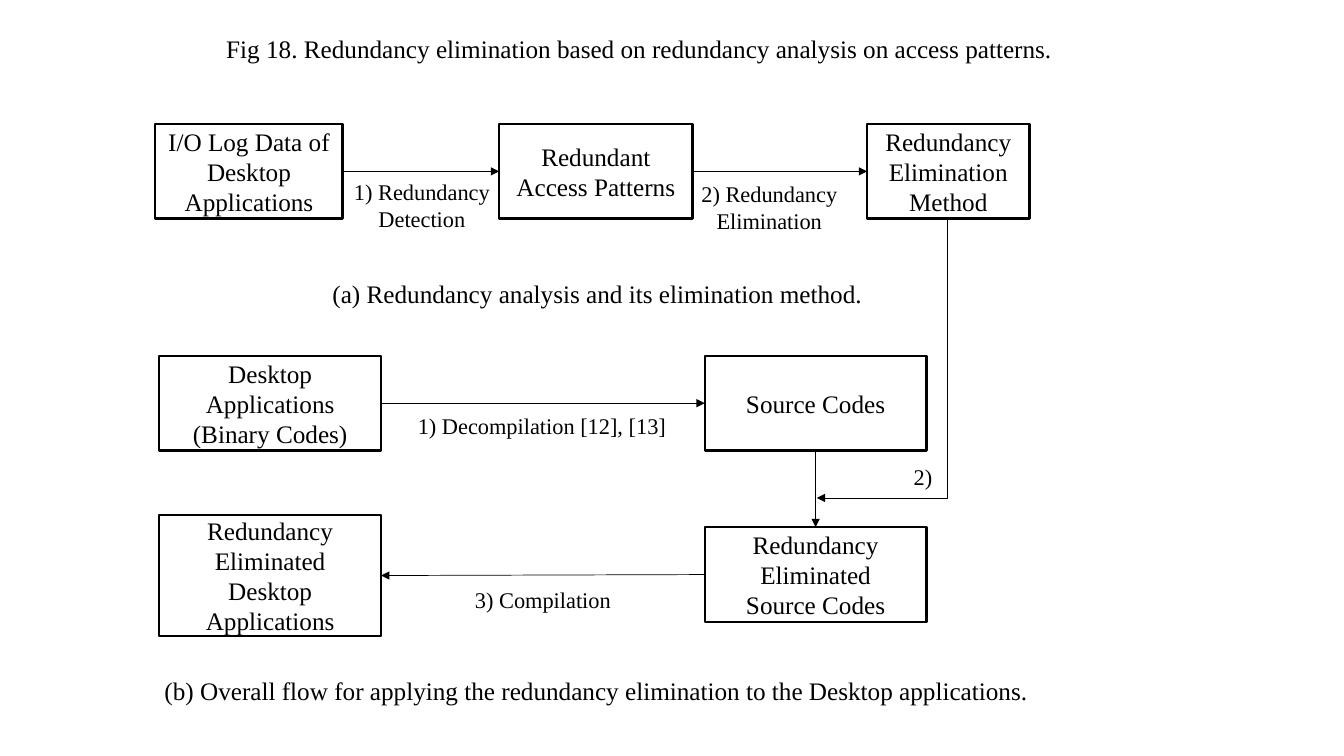
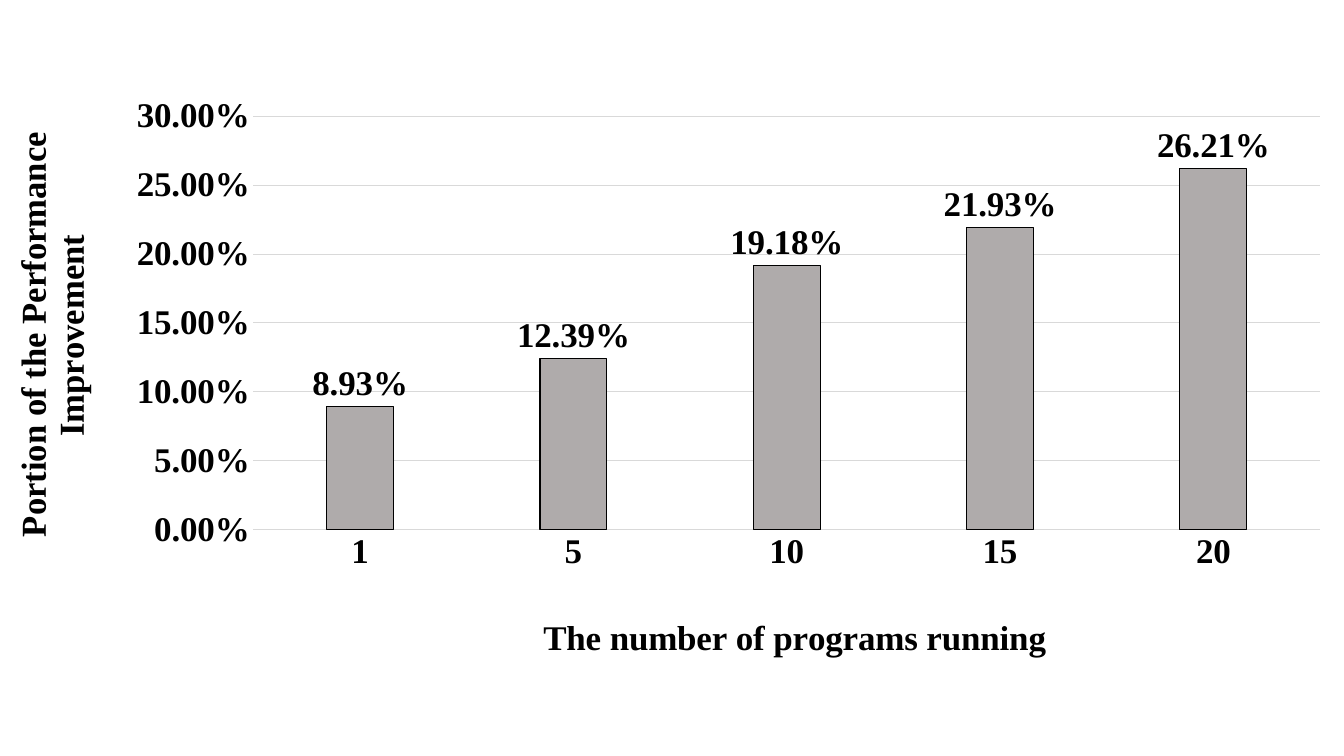
from dataclasses import dataclass

from lxml.etree import SubElement
from pptx import Presentation
from pptx.chart.data import CategoryChartData
from pptx.dml.color import RGBColor
from pptx.enum.chart import XL_CHART_TYPE, XL_LABEL_POSITION, XL_TICK_MARK
from pptx.enum.shapes import MSO_CONNECTOR, MSO_SHAPE
from pptx.enum.text import MSO_ANCHOR, MSO_AUTO_SIZE, PP_ALIGN
from pptx.oxml import parse_xml
from pptx.oxml.ns import nsdecls, qn
from pptx.util import Inches, Pt

TOP, LEFT, BOTTOM, RIGHT = range(4)
TITLE_ONLY, BLANK = 5, 6


@dataclass(frozen=True)
class Theme:
    font: str = "Times New Roman"
    ink: RGBColor = RGBColor(0, 0, 0)
    bar: RGBColor = RGBColor(0xAF, 0xAB, 0xAB)
    grid: RGBColor = RGBColor(0xD9, 0xD9, 0xD9)
    body: Pt = Pt(18)
    label: Pt = Pt(16)
    chart: Pt = Pt(25)
    box_line: Pt = Pt(1.75)
    arrow_line: Pt = Pt(0.5)
    chart_line: Pt = Pt(0.75)


def apply(target, values):
    for name, value in values.items():
        setattr(target, name, value)


def place(parent, index, **fractions):
    """Give a chart part a manual layout, in fractions of the chart."""
    for existing in parent.findall(qn("c:layout")):
        parent.remove(existing)
    layout = parse_xml(f"<c:layout {nsdecls('c')}><c:manualLayout/></c:layout>")
    for name, value in fractions.items():
        SubElement(layout[0], qn(f"c:{name}")).set("val", str(value))
    parent.insert(index, layout)


class Deck:
    def __init__(self, theme):
        self.theme = theme
        self.presentation = Presentation()
        apply(self.presentation, {"slide_width": Inches(13.33), "slide_height": Inches(7.5)})
        self.slide = None

    def add_slide(self, layout):
        self.slide = self.presentation.slides.add_slide(self.presentation.slide_layouts[layout])

    def style_font(self, font, size, bold=False):
        apply(font, {"name": self.theme.font, "size": size, "bold": bold})
        font.color.rgb = self.theme.ink

    def style_line(self, line, width, color=None):
        line.width = width
        line.color.rgb = color or self.theme.ink

    def set_text(self, shape, text, size, frame_format, paragraph_format=None):
        frame = shape.text_frame
        frame.text = text
        apply(frame, frame_format)
        for paragraph in frame.paragraphs:
            apply(paragraph, {"alignment": PP_ALIGN.CENTER, **(paragraph_format or {})})
            for run in paragraph.runs:
                self.style_font(run.font, size)

    def set_caption(self, shape, text):
        self.set_text(shape, text, self.theme.body,
                      {"word_wrap": False, "vertical_anchor": MSO_ANCHOR.TOP,
                       "auto_size": MSO_AUTO_SIZE.NONE},
                      {"line_spacing": 1.5, "space_before": Pt(0), "space_after": Pt(12)})

    def title(self, text, left, top, width, height):
        shape = self.slide.shapes.title
        apply(shape, {"left": Inches(left), "top": Inches(top),
                      "width": Inches(width), "height": Inches(height)})
        self.set_caption(shape, text)

    def text_box(self, left, top, width, height):
        return self.slide.shapes.add_textbox(
            Inches(left), Inches(top), Inches(width), Inches(height))

    def caption(self, text, left, top, width):
        self.set_caption(self.text_box(left, top, width, 0.56), text)

    def label(self, text, left, top, width, height=0.37):
        self.set_text(self.text_box(left, top, width, height), text, self.theme.label,
                      {"word_wrap": False})

    def box(self, text, left, top, width, height=0.94):
        shape = self.slide.shapes.add_shape(
            MSO_SHAPE.RECTANGLE, Inches(left), Inches(top), Inches(width), Inches(height))
        shape.shadow.inherit = False
        shape.fill.background()
        self.style_line(shape.line, self.theme.box_line)
        self.set_text(shape, text, self.theme.body,
                      {"word_wrap": True, "vertical_anchor": MSO_ANCHOR.MIDDLE})
        return shape

    def connector(self, kind, left, top, right, bottom):
        connector = self.slide.shapes.add_connector(kind, left, top, right, bottom)
        self.style_line(connector.line, self.theme.arrow_line)
        properties = connector.element.spPr
        SubElement(properties.find(qn("a:ln")), qn("a:tailEnd")).set("type", "triangle")
        SubElement(properties, qn("a:effectLst"))
        return connector

    def arrow(self, source, source_side, target, target_side):
        connector = self.connector(MSO_CONNECTOR.STRAIGHT, 0, 0, 0, 0)
        connector.begin_connect(source, source_side)
        connector.end_connect(target, target_side)

    def down_left_arrow(self, start_x, start_y, end_x, end_y):
        """Draw a one-bend arrow: a right-then-down elbow turned a quarter."""
        center_x, center_y = (start_x + end_x) / 2, (start_y + end_y) / 2
        half_drop, half_run = (end_y - start_y) / 2, (start_x - end_x) / 2
        connector = self.connector(
            MSO_CONNECTOR.ELBOW,
            Inches(center_x - half_drop), Inches(center_y - half_run),
            Inches(center_x + half_drop), Inches(center_y + half_run))
        properties = connector.element.spPr
        properties.find(qn("a:xfrm")).set("rot", str(90 * 60000))
        properties.find(qn("a:prstGeom")).set("prst", "bentConnector2")

    def axis_title(self, axis, text, rotation, x, y):
        title = axis.axis_title
        frame = title.text_frame
        frame.text = text
        for paragraph in frame.paragraphs:
            for run in paragraph.runs:
                self.style_font(run.font, self.theme.chart, True)
        body = title.element.find(".//" + qn("a:bodyPr"))
        body.set("rot", str(rotation * 60000))
        body.set("vert", "horz")
        place(title.element, 1, xMode="edge", yMode="edge", x=x, y=y)

    def column_chart(self, values, left, top, width, height):
        theme = self.theme
        data = CategoryChartData(number_format="0.00%")
        data.categories = list(values)
        data.add_series("Series 1", list(values.values()))
        chart = self.slide.shapes.add_chart(
            XL_CHART_TYPE.COLUMN_CLUSTERED,
            Inches(left), Inches(top), Inches(width), Inches(height), data).chart
        apply(chart, {"has_legend": False, "has_title": False})
        self.style_font(chart.font, theme.chart, True)

        plot = chart.plots[0]
        apply(plot, {"gap_width": 219, "overlap": -27,
                     "vary_by_categories": False, "has_data_labels": True})
        labels = plot.data_labels
        apply(labels, {"show_value": True, "position": XL_LABEL_POSITION.OUTSIDE_END,
                       "number_format": "0.00%", "number_format_is_linked": False})
        self.style_font(labels.font, theme.chart, True)
        bars = plot.series[0].format
        bars.fill.solid()
        bars.fill.fore_color.rgb = theme.bar
        self.style_line(bars.line, theme.chart_line)

        for axis in (chart.category_axis, chart.value_axis):
            apply(axis, {"major_tick_mark": XL_TICK_MARK.NONE,
                         "minor_tick_mark": XL_TICK_MARK.NONE})
            self.style_font(axis.tick_labels.font, theme.chart, True)
        self.style_line(chart.category_axis.format.line, theme.chart_line, theme.grid)
        value_axis = chart.value_axis
        apply(value_axis, {"minimum_scale": 0, "maximum_scale": 0.3, "major_unit": 0.05})
        apply(value_axis.tick_labels,
              {"number_format": "0.00%", "number_format_is_linked": False})
        value_axis.format.line.fill.background()
        self.style_line(value_axis.major_gridlines.format.line, theme.chart_line, theme.grid)
        plot_area = next(chart.element.iter(qn("c:plotArea")))
        place(plot_area, 0, layoutTarget="inner",
              xMode="edge", yMode="edge", x=0.19, y=0.05, w=0.79, h=0.72)
        return chart


def build_flow_slide(deck):
    deck.add_slide(TITLE_ONLY)
    deck.title("Fig 18. Redundancy elimination based on redundancy analysis on access patterns.",
               2.1, 0.13, 8.48, 0.56)

    analysis_top = 1.23
    log_data = deck.box("I/O Log Data of Desktop\nApplications", 1.54, analysis_top, 1.86)
    patterns = deck.box("Redundant Access Patterns", 4.95, analysis_top, 1.92)
    method = deck.box("Redundancy Elimination Method", 8.6, analysis_top, 1.61)
    deck.caption("(a) Redundancy analysis and its elimination method.", 3.14, 2.56, 5.57)

    binary_left, source_left, flow_width = 1.58, 6.99, 2.2
    binary = deck.box("Desktop\nApplications (Binary Codes)", binary_left, 3.53, flow_width)
    source = deck.box("Source Codes", source_left, 3.53, flow_width)
    reduced_source = deck.box("Redundancy Eliminated\nSource Codes",
                              source_left, 5.23, flow_width)
    reduced_binary = deck.box("Redundancy Eliminated\nDesktop\nApplications",
                              binary_left, 5.11, flow_width, 1.2)
    deck.caption("(b) Overall flow for applying the redundancy elimination "
                 "to the Desktop applications.", 1.43, 6.5, 8.97)

    for link in (
        (log_data, RIGHT, patterns, LEFT),
        (patterns, RIGHT, method, LEFT),
        (binary, RIGHT, source, LEFT),
        (source, BOTTOM, reduced_source, TOP),
        (reduced_source, LEFT, reduced_binary, RIGHT),
    ):
        deck.arrow(*link)
    deck.down_left_arrow(9.4, 2.17, 8.1, 4.94)

    for label in (
        ("1) Redundancy\nDetection", 3.25, 1.72, 1.87, 0.64),
        ("2) Redundancy\nElimination", 6.82, 1.74, 1.62, 0.64),
        ("1) Decompilation [12], [13]", 3.88, 4.04, 2.99),
        ("3) Compilation", 4.6, 5.77, 1.57),
        ("2)", 8.91, 4.55, 0.49),
    ):
        deck.label(*label)


def build_chart_slide(deck):
    deck.add_slide(BLANK)
    improvement = {"1": 0.0893, "5": 0.1239, "10": 0.1918, "15": 0.2193, "20": 0.2621}
    chart = deck.column_chart(improvement, -0.03, 0.87, 13.39, 5.76)
    deck.axis_title(chart.category_axis, "The number of programs running", 0, 0.4, 0.91)
    deck.axis_title(chart.value_axis, "Portion of the Performance\nImprovement", -90, 0.01, 0.08)


def main():
    deck = Deck(Theme())
    build_flow_slide(deck)
    build_chart_slide(deck)
    deck.presentation.save("out.pptx")


if __name__ == "__main__":
    main()
